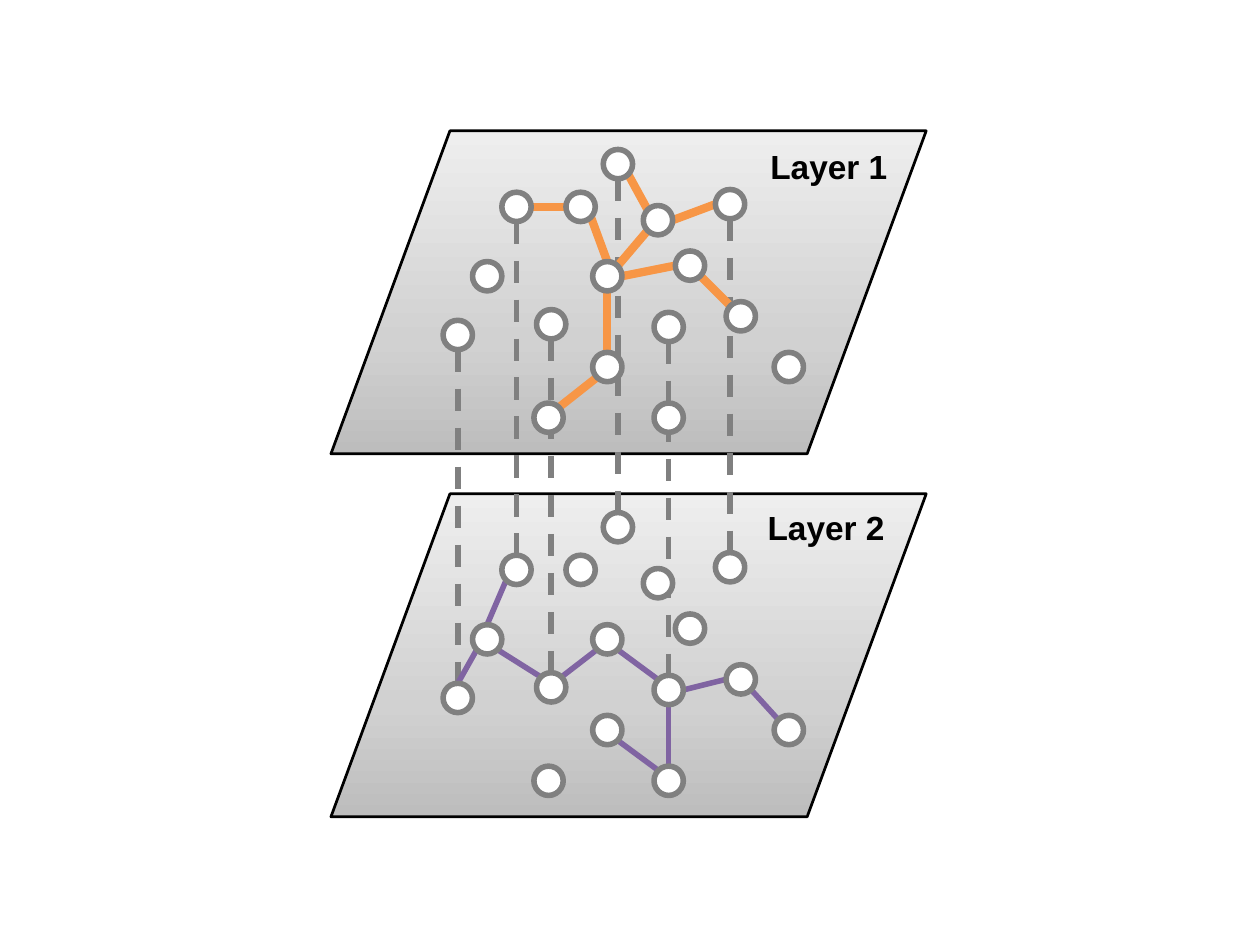
import copy
import enum
import math
import typing

import pptx
import pptx.dml.color
import pptx.enum.dml
import pptx.enum.shapes
import pptx.enum.text
import pptx.oxml
import pptx.oxml.ns
import pptx.util
from pptx.util import Inches

NODE_SIZE = 0.11
LAYER_GAP = 1.36
PLANE_LEFT, PLANE_TOP, PLANE_WIDTH, PLANE_HEIGHT = 1.24, 0.49, 2.23, 1.21
PLANE_STOPS = [(0, "BDBDBD"), (0.35, "D1D1D1"), (1, "EEEEEE")]
GREY, WHITE, BLACK = "808080", "FFFFFF", "000000"


class Rim(enum.Enum):
    """Points on a node's outline, as clockwise degrees from the right."""
    RIGHT = 0
    LOWER_RIGHT = 45
    BOTTOM = 90
    LOWER_LEFT = 135
    LEFT = 180
    UPPER_LEFT = 225
    TOP = 270
    UPPER_RIGHT = 315


class Edge(typing.NamedTuple):
    start: str
    start_rim: Rim
    end: str
    end_rim: Rim


class Layer(typing.NamedTuple):
    label: str
    label_left: float
    label_top: float
    drop: float
    edge_color: str
    edge_width: float
    edges: list[Edge]


# Left and top of each node on the upper layer; the lower layer repeats them
NODES = {
    "far_right": (2.68, 0.71), "mid_left": (2.01, 1.16), "peak": (2.26, 0.56),
    "inner": (2.41, 0.77), "far_left": (1.66, 1.20), "left": (1.77, 0.98),
    "upper_left": (1.88, 0.72), "bottom_right": (2.45, 1.51), "below_hub": (2.22, 1.32),
    "right": (2.72, 1.13), "mid_right": (2.45, 1.17), "near_right": (2.53, 0.94),
    "corner": (2.90, 1.32), "hub": (2.22, 0.98), "bottom_left": (2.00, 1.51),
    "upper_mid": (2.12, 0.72),
}
LINKED_NODES = ["far_right", "mid_right", "peak", "mid_left", "upper_left", "far_left"]

UPPER = Layer("Layer 1", 2.72, 0.5, 0, "F79646", 2.25, [
    Edge("hub", Rim.RIGHT, "near_right", Rim.LEFT),
    Edge("near_right", Rim.LOWER_RIGHT, "right", Rim.UPPER_LEFT),
    Edge("hub", Rim.BOTTOM, "below_hub", Rim.TOP),
    Edge("below_hub", Rim.LOWER_LEFT, "bottom_left", Rim.UPPER_RIGHT),
    Edge("hub", Rim.UPPER_RIGHT, "inner", Rim.LOWER_LEFT),
    Edge("inner", Rim.UPPER_LEFT, "peak", Rim.LOWER_RIGHT),
    Edge("inner", Rim.RIGHT, "far_right", Rim.LEFT),
    Edge("upper_left", Rim.RIGHT, "upper_mid", Rim.LEFT),
    Edge("upper_mid", Rim.LOWER_RIGHT, "hub", Rim.TOP),
])
LOWER = Layer("Layer 2", 2.71, 1.85, LAYER_GAP, "8064A2", 1.5, [
    Edge("mid_right", Rim.RIGHT, "right", Rim.LEFT),
    Edge("hub", Rim.LOWER_RIGHT, "mid_right", Rim.UPPER_LEFT),
    Edge("mid_right", Rim.BOTTOM, "bottom_right", Rim.TOP),
    Edge("below_hub", Rim.LOWER_RIGHT, "bottom_right", Rim.UPPER_LEFT),
    Edge("upper_left", Rim.LOWER_LEFT, "left", Rim.TOP),
    Edge("left", Rim.LOWER_RIGHT, "mid_left", Rim.UPPER_LEFT),
    Edge("left", Rim.LOWER_LEFT, "far_left", Rim.TOP),
    Edge("right", Rim.LOWER_RIGHT, "corner", Rim.UPPER_LEFT),
    Edge("mid_left", Rim.UPPER_RIGHT, "hub", Rim.LOWER_LEFT),
])


def rgb(color: str) -> pptx.dml.color.RGBColor:
    return pptx.dml.color.RGBColor.from_string(color)


def rim_point(node: str, rim: Rim, drop: float) -> tuple[float, float]:
    left, top = NODES[node]
    radius, angle = NODE_SIZE / 2, math.radians(rim.value)
    return (left + radius * (1 + math.cos(angle)),
            top + drop + radius * (1 + math.sin(angle)))


def style_line(line, color: str, width: float) -> None:
    line.color.rgb = rgb(color)
    line.width = pptx.util.Pt(width)


def draw_line(shapes, start: tuple[float, float], end: tuple[float, float],
              color: str, width: float, dashed: bool = False) -> None:
    connector = shapes.add_connector(
        pptx.enum.shapes.MSO_CONNECTOR.STRAIGHT, *map(Inches, start + end))
    style_line(connector.line, color, width)
    if dashed:
        connector.line.dash_style = pptx.enum.dml.MSO_LINE.DASH
    connector._element.spPr.append(pptx.oxml.parse_xml(
        f"<a:effectLst {pptx.oxml.ns.nsdecls('a')}/>"))


def draw_plane(shapes, layer: Layer) -> None:
    plane = shapes.add_shape(
        pptx.enum.shapes.MSO_SHAPE.FLOWCHART_DATA, Inches(PLANE_LEFT),
        Inches(PLANE_TOP + layer.drop), Inches(PLANE_WIDTH), Inches(PLANE_HEIGHT))
    plane.shadow.inherit = False
    style_line(plane.line, BLACK, 0.75)
    plane.fill.gradient()
    plane.fill.gradient_angle = 90
    # The default gradient has two stops; add the middle one
    stop_list = plane._element.spPr.find(".//" + pptx.oxml.ns.qn("a:gsLst"))
    stop_list.append(copy.deepcopy(stop_list[0]))
    for stop, (position, color) in zip(plane.fill.gradient_stops, PLANE_STOPS):
        stop.position = position
        stop.color.rgb = rgb(color)


def draw_label(shapes, layer: Layer) -> None:
    label = shapes.add_textbox(Inches(layer.label_left), Inches(layer.label_top),
                               Inches(0.77), Inches(0.3))
    label.text_frame.word_wrap = True
    label.text_frame.auto_size = pptx.enum.text.MSO_AUTO_SIZE.SHAPE_TO_FIT_TEXT
    paragraph = label.text_frame.paragraphs[0]
    paragraph.alignment = pptx.enum.text.PP_ALIGN.CENTER
    run = paragraph.add_run()
    run.text = layer.label
    run.font.name = "Arial"
    run.font.size = pptx.util.Pt(9)
    run.font.bold = True
    run.font.color.rgb = rgb(BLACK)


def draw_network(shapes, layer: Layer) -> None:
    for edge in layer.edges:
        draw_line(shapes, rim_point(edge.start, edge.start_rim, layer.drop),
                  rim_point(edge.end, edge.end_rim, layer.drop),
                  layer.edge_color, layer.edge_width)
    for left, top in NODES.values():
        node = shapes.add_shape(
            pptx.enum.shapes.MSO_SHAPE.OVAL, Inches(left), Inches(top + layer.drop),
            Inches(NODE_SIZE), Inches(NODE_SIZE))
        node.shadow.inherit = False
        node.fill.solid()
        node.fill.fore_color.rgb = rgb(WHITE)
        style_line(node.line, GREY, 1.5)


presentation = pptx.Presentation()
presentation.slide_width = Inches(4.72)
presentation.slide_height = Inches(3.54)
slide = presentation.slides.add_slide(presentation.slide_layouts[6])
diagram = slide.shapes.add_group_shape().shapes

# Planes, lower one first
for layer in (LOWER, UPPER):
    draw_plane(diagram, layer)

# Dashed links between the same node on both layers
for linked in LINKED_NODES:
    draw_line(diagram, rim_point(linked, Rim.BOTTOM, UPPER.drop),
              rim_point(linked, Rim.TOP, LOWER.drop), GREY, 1.5, dashed=True)

# Labels and networks
for layer in (UPPER, LOWER):
    draw_label(diagram, layer)
    draw_network(diagram, layer)

presentation.save("out.pptx")
